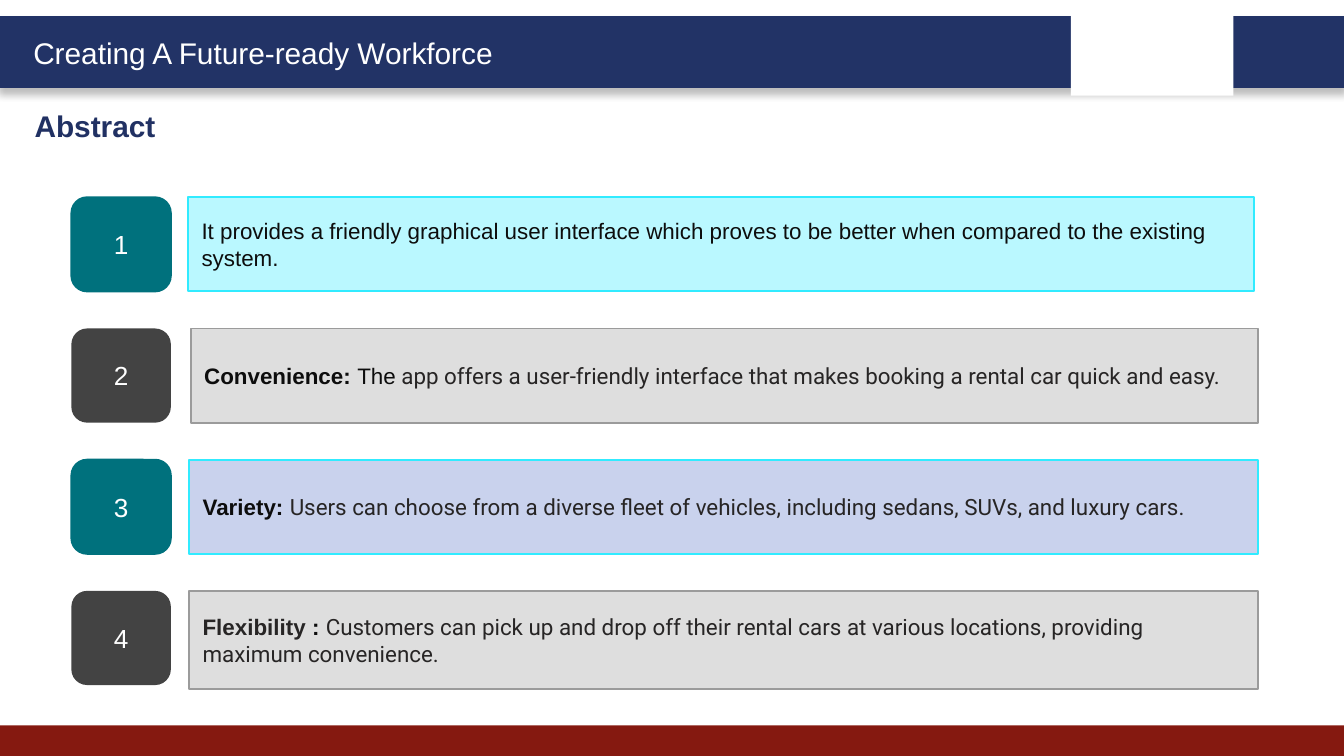
import pptx
import pptx.util
import pptx.dml.color
import pptx.enum.shapes
import pptx.enum.text
import pptx.oxml
import pptx.oxml.ns

Cm = pptx.util.Cm
Pt = pptx.util.Pt
SHAPES = pptx.enum.shapes.MSO_SHAPE
ALIGN = pptx.enum.text.PP_ALIGN
ANCHOR = pptx.enum.text.MSO_ANCHOR
FIT = pptx.enum.text.MSO_AUTO_SIZE

COLOURS = {
    "white": "FFFFFF",
    "banner": "223366",
    "heading": "213163",
    "footer": "851910",
    "teal": "00717D",
    "charcoal": "434343",
    "aqua": "BAF8FF",
    "cyan": "31EBFF",
    "silver": "DEDEDE",
    "grey": "9B9B9B",
    "lavender": "C9D2ED",
    "ink": "0D0D0D",
    "soft_ink": "272525",
}

# Each panel: left and width and height in cm, fill, outline, spans (text, font, colour, bold)
PANELS = [
    (3.56, 20.14, 1.78, "aqua", "cyan", [
        ("It provides a friendly graphical user interface which proves to be better "
         "when compared to the existing system.", "Arial", "ink", False)]),
    (3.61, 20.17, 1.78, "silver", "grey", [
        ("Convenience: ", "Arial", "ink", True),
        ("The", "Arial", "ink", False),
        (" app offers a user-friendly interface that makes booking a rental car "
         "quick and easy.", "Roboto", "soft_ink", False)]),
    (3.58, 20.19, 1.78, "lavender", "cyan", [
        ("Variety: ", "Arial", "ink", True),
        ("Users can choose from a diverse fleet of vehicles, including sedans, SUVs, "
         "and luxury cars.", "Roboto", "soft_ink", False)]),
    (3.58, 20.19, 1.85, "silver", "grey", [
        ("Flexibility ", "Arial", "soft_ink", True),
        (": ", "Arial", "ink", True),
        ("Customers can pick up and drop off their rental cars at various locations, "
         "providing maximum convenience.", "Roboto", "soft_ink", False)]),
]
FIRST_TOP = 3.73
ROW_PITCH = 2.48


def colour(name):
    return pptx.dml.color.RGBColor.from_string(COLOURS[name])


def add_spans(box, spans, size, align=ALIGN.LEFT, anchor=ANCHOR.MIDDLE):
    frame = box.text_frame
    frame.word_wrap = True
    frame.vertical_anchor = anchor
    para = frame.paragraphs[0]
    para.alignment = align
    for text, font, ink, bold in spans:
        span = para.add_run()
        span.text = text
        span.font.name = font
        span.font.size = Pt(size)
        span.font.bold = bold
        span.font.color.rgb = colour(ink)


def add_block(page, kind, left, top, width, height, fill, line=None, weight=1):
    block = page.shapes.add_shape(kind, Cm(left), Cm(top), Cm(width), Cm(height))
    block.shadow.inherit = False
    block.fill.solid()
    block.fill.fore_color.rgb = colour(fill)
    if line:
        block.line.color.rgb = colour(line)
        block.line.width = Pt(weight)
    else:
        block.line.fill.background()
    return block


def add_drop_shadow(block):
    effects = block._element.spPr.find(pptx.oxml.ns.qn("a:effectLst"))
    effects.append(pptx.oxml.parse_xml(
        f'<a:outerShdw {pptx.oxml.ns.nsdecls("a")} blurRad="{Pt(4)}" dist="{Pt(3)}" '
        'dir="5400000" rotWithShape="0"><a:srgbClr val="000000">'
        '<a:alpha val="25000"/></a:srgbClr></a:outerShdw>'))


def add_frame(page):
    # Banner with its blank logo panel, and footer strip
    banner = add_block(page, SHAPES.RECTANGLE, 0, 0.33, 25.4, 1.3, "banner", "banner", 2)
    add_drop_shadow(banner)
    add_block(page, SHAPES.RECTANGLE, 0, 13.71, 25.4, 0.58, "footer")
    add_block(page, SHAPES.RECTANGLE, 20.24, 0.18, 3.07, 1.63, "white")

    # Banner wording
    box = page.shapes.add_textbox(Cm(0.38), Cm(0.53), Cm(9.6), Cm(0.94))
    add_spans(box, [("Creating A Future-ready Workforce", "Arial", "white", False)], 16,
              anchor=ANCHOR.TOP)
    box.text_frame.auto_size = FIT.SHAPE_TO_FIT_TEXT


def set_heading(page):
    title = page.shapes.title
    title.left, title.top, title.width, title.height = Cm(0.4), Cm(1.9), Cm(12.3), Cm(0.94)
    add_spans(title, [("Abstract", "Arial", "heading", True)], 16, anchor=ANCHOR.TOP)
    title.text_frame.auto_size = FIT.SHAPE_TO_FIT_TEXT


def add_row(page, index, panel):
    left, width, height, fill, line, spans = panel
    top = FIRST_TOP + index * ROW_PITCH
    box = add_block(page, SHAPES.RECTANGLE, left, top, width, height, fill, line)
    add_spans(box, spans, 12)

    # Number badge, teal on odd rows and charcoal on even ones
    badge_fill, badge_line = [("teal", "teal"), ("charcoal", None)][index % 2]
    badge = add_block(page, SHAPES.ROUNDED_RECTANGLE, 1.35, top, 1.88, 1.78,
                      badge_fill, badge_line)
    add_spans(badge, [(str(index + 1), "Arial", "white", False)], 14, ALIGN.CENTER)


def main():
    deck = pptx.Presentation()
    deck.slide_width, deck.slide_height = Cm(25.4), Cm(14.29)
    page = deck.slides.add_slide(deck.slide_layouts[5])
    add_frame(page)
    set_heading(page)
    for index, panel in enumerate(PANELS):
        add_row(page, index, panel)
    deck.save("out.pptx")


if __name__ == "__main__":
    main()
